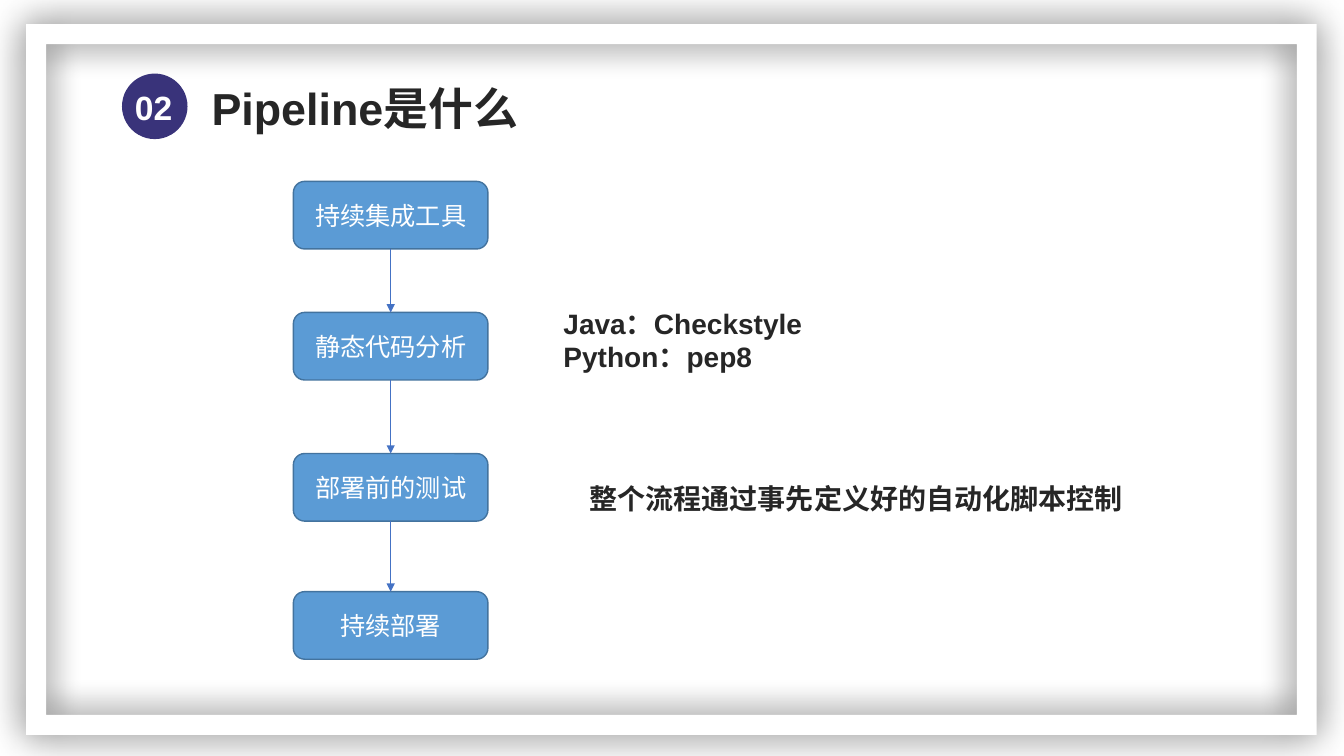
from dataclasses import dataclass

from lxml.etree import SubElement
from pptx import Presentation
from pptx.dml.color import RGBColor
from pptx.enum.shapes import MSO_CONNECTOR, MSO_SHAPE
from pptx.enum.text import MSO_ANCHOR, MSO_AUTO_SIZE, PP_ALIGN
from pptx.oxml.ns import qn
from pptx.util import Inches, Pt


@dataclass(frozen=True)
class Theme:
    latin: str = "Arial"
    chinese: str = "Noto Sans CJK SC"
    white: str = "FFFFFF"
    ink: str = "262626"
    badge: str = "39337A"
    step: str = "5B9BD5"
    step_edge: str = "43739E"
    arrow: str = "4472C4"
    shadow: str = "000000"
    title_size: int = 32
    badge_size: int = 24
    note_size: int = 20
    step_size: int = 18


THEME = Theme()

# The flow column: one left edge and box size, one row top per step
STEP_LEFT, STEP_WIDTH, STEP_HEIGHT = 2.91, 1.93, 0.67
STEPS = [
    (1.8, "持续集成工具"),
    (3.1, "静态代码分析"),
    (4.5, "部署前的测试"),
    (5.87, "持续部署"),
]


def color(value):
    return RGBColor.from_string(value)


def add_span(para, text, size, ink, font, bold=False):
    span = para.add_run()
    span.text = text
    span.font.size = Pt(size)
    span.font.bold = bold
    span.font.name = font
    span.font.color.rgb = color(ink)
    east_asian = SubElement(span.font._element, qn("a:ea"))
    east_asian.set("typeface", THEME.chinese)


def add_label(page, area, lines, size, ink=THEME.ink, spacing=None):
    box = page.shapes.add_textbox(*map(Inches, area))
    frame = box.text_frame
    frame.word_wrap = True
    frame.auto_size = MSO_AUTO_SIZE.SHAPE_TO_FIT_TEXT
    for index, line in enumerate(lines):
        para = frame.add_paragraph() if index else frame.paragraphs[0]
        para.line_spacing = spacing
        add_span(para, line, size, ink, THEME.latin, bold=True)


def add_block(page, preset, area, fill, edge=None):
    block = page.shapes.add_shape(preset, *map(Inches, area))
    block.shadow.inherit = False
    block.fill.solid()
    block.fill.fore_color.rgb = color(fill)
    if edge:
        block.line.color.rgb = color(edge)
        block.line.width = Pt(1)
    else:
        block.line.fill.background()
    return block


def add_border(page):
    border = add_block(page, MSO_SHAPE.FRAME, (0.26, 0.24, 12.8, 7.05), THEME.white)
    border.adjustments[0] = 0.028
    effects = border._element.spPr.find(qn("a:effectLst"))
    shadow = SubElement(effects, qn("a:outerShdw"), blurRad=str(Pt(27)),
                        dist="0", dir="0", algn="ctr", rotWithShape="0")
    tint = SubElement(shadow, qn("a:srgbClr"), val=THEME.shadow)
    SubElement(tint, qn("a:alpha"), val="60000")


def add_step(page, top, text):
    area = (STEP_LEFT, top, STEP_WIDTH, STEP_HEIGHT)
    step = add_block(page, MSO_SHAPE.ROUNDED_RECTANGLE, area, THEME.step, THEME.step_edge)
    frame = step.text_frame
    frame.word_wrap = True
    frame.vertical_anchor = MSO_ANCHOR.MIDDLE
    para = frame.paragraphs[0]
    para.alignment = PP_ALIGN.CENTER
    add_span(para, text, THEME.step_size, THEME.white, THEME.chinese)
    return step


def add_arrow(page, upper, lower):
    arrow = page.shapes.add_connector(MSO_CONNECTOR.STRAIGHT, 0, 0, 0, 0)
    arrow.begin_connect(upper, 2)
    arrow.end_connect(lower, 0)
    arrow.line.color.rgb = color(THEME.arrow)
    arrow.line.width = Pt(0.5)
    SubElement(arrow.line._get_or_add_ln(), qn("a:tailEnd"), type="triangle")
    SubElement(arrow._element.spPr, qn("a:effectLst"))


def main():
    deck = Presentation()
    deck.slide_width, deck.slide_height = Inches(13.33), Inches(7.5)
    page = deck.slides.add_slide(deck.slide_layouts[6])

    # Border and heading
    add_border(page)
    add_label(page, (2, 0.64, 6.99, 0.71), ["Pipeline是什么"], THEME.title_size, spacing=1.2)
    add_block(page, MSO_SHAPE.OVAL, (1.21, 0.73, 0.65, 0.65), THEME.badge)
    add_label(page, (1.24, 0.81, 0.62, 0.5), ["02"], THEME.badge_size, THEME.white)

    # Flow of steps, joined by arrows
    steps = [add_step(page, top, text) for top, text in STEPS]
    for upper, lower in zip(steps, steps[1:]):
        add_arrow(page, upper, lower)

    # Notes beside the flow
    add_label(page, (5.49, 2.99, 4.48, 0.77), ["Java：Checkstyle", "Python：pep8"], THEME.note_size)
    add_label(page, (5.75, 4.73, 5.8, 0.44), ["整个流程通过事先定义好的自动化脚本控制"], THEME.note_size)

    deck.save("out.pptx")


if __name__ == "__main__":
    main()
